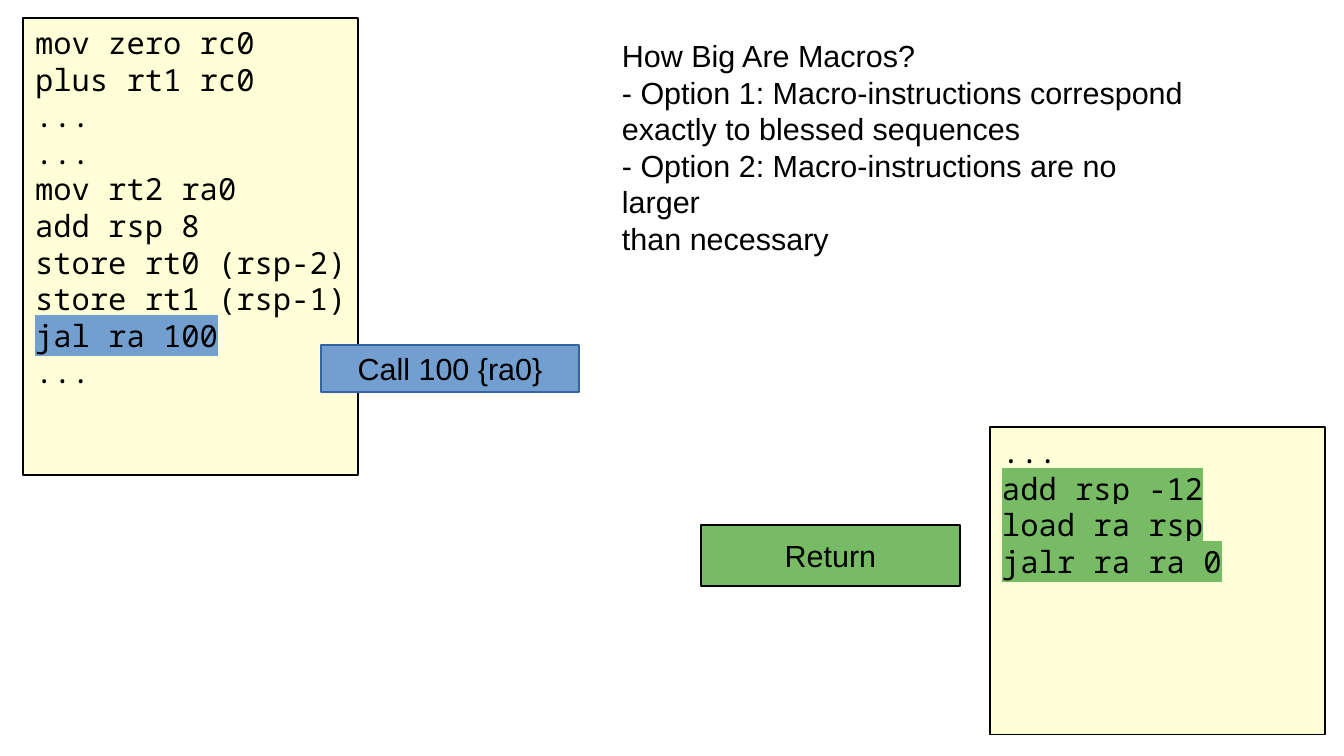
from dataclasses import dataclass
from typing import Optional

from lxml.etree import SubElement
from pptx import Presentation
from pptx.dml.color import RGBColor
from pptx.enum.shapes import MSO_SHAPE as Preset
from pptx.enum.text import MSO_ANCHOR as Anchor, MSO_AUTO_SIZE as AutoSize, PP_ALIGN as Align
from pptx.oxml.ns import qn
from pptx.util import Emu, Pt

BLACK = RGBColor(0x00, 0x00, 0x00)
CREAM = RGBColor(0xFF, 0xFF, 0xD7)
BLUE = RGBColor(0x72, 0x9F, 0xCF)
DARK_BLUE = RGBColor(0x34, 0x65, 0xA4)
GREEN = RGBColor(0x77, 0xBC, 0x65)
SANS = "Arial"
MONO = "Noto Sans Mono"


@dataclass(frozen=True)
class Box:
    left: int
    top: int
    width: int
    height: int
    lines: tuple[str, ...]
    fill: RGBColor
    outline: RGBColor = BLACK


@dataclass(frozen=True)
class CodeListing(Box):
    marked: tuple[str, ...] = ()
    marker: Optional[RGBColor] = None


LISTINGS = [
    CodeListing(
        23, 18, 335, 457,
        ("mov zero rc0", "plus rt1 rc0", "...", "...", "mov rt2 ra0", "add rsp 8",
         "store rt0 (rsp-2)", "store rt1 (rsp-1)", "jal ra 100", "..."),
        CREAM, marked=("jal ra 100",), marker=BLUE,
    ),
    CodeListing(
        990, 427, 335, 308,
        ("...", "add rsp -12", "load ra rsp", "jalr ra ra 0"),
        CREAM, marked=("add rsp -12", "load ra rsp", "jalr ra ra 0"), marker=GREEN,
    ),
]
MACROS = [
    Box(321, 345, 258, 47, ("Call 100 {ra0}",), BLUE, DARK_BLUE),
    Box(701, 525, 259, 61, ("Return",), GREEN),
]
QUESTION = (
    "How Big Are Macros?",
    "- Option 1: Macro-instructions correspond",
    "exactly to blessed sequences",
    "- Option 2: Macro-instructions are no larger",
    "than necessary",
)


def px(length: int) -> Emu:
    return Emu(round(length * 914400 / 122))


def write(shape, lines: tuple[str, ...], *, font: str = SANS, align=Align.LEFT,
          anchor=Anchor.TOP, wrap: bool = True, marked: tuple[str, ...] = (),
          marker: Optional[RGBColor] = None) -> None:
    frame = shape.text_frame
    frame.word_wrap = wrap
    frame.vertical_anchor = anchor
    frame.margin_left = px(12)
    frame.margin_right = px(8 if font == MONO else 12)
    frame.margin_top = frame.margin_bottom = px(6)
    for index, line in enumerate(lines):
        paragraph = frame.add_paragraph() if index else frame.paragraphs[0]
        paragraph.alignment = align
        paragraph.line_spacing = Pt(21.6)
        run = paragraph.add_run()
        run.text = line
        run.font.size = Pt(18)
        run.font.color.rgb = BLACK
        if line in marked:
            highlight = SubElement(run.font._element, qn("a:highlight"))
            SubElement(highlight, qn("a:srgbClr"), val=str(marker))
        run.font.name = font


def draw_box(slide, box: Box):
    shape = slide.shapes.add_shape(
        Preset.RECTANGLE, px(box.left), px(box.top), px(box.width), px(box.height))
    shape.shadow.inherit = False
    shape.fill.solid()
    shape.fill.fore_color.rgb = box.fill
    shape.line.color.rgb = box.outline
    shape.line.width = Pt(0)
    return shape


def main() -> None:
    presentation = Presentation()
    presentation.slide_width = px(1344)
    presentation.slide_height = px(756)
    slide = presentation.slides.add_slide(presentation.slide_layouts[6])

    for listing in LISTINGS:
        write(draw_box(slide, listing), listing.lines, font=MONO,
              marked=listing.marked, marker=listing.marker)
    for macro in MACROS:
        write(draw_box(slide, macro), macro.lines, align=Align.CENTER, anchor=Anchor.MIDDLE)

    question = slide.shapes.add_textbox(px(610), px(31), px(605), px(183))
    write(question, QUESTION, wrap=False)
    question.text_frame.auto_size = AutoSize.SHAPE_TO_FIT_TEXT

    presentation.save("out.pptx")


if __name__ == "__main__":
    main()
